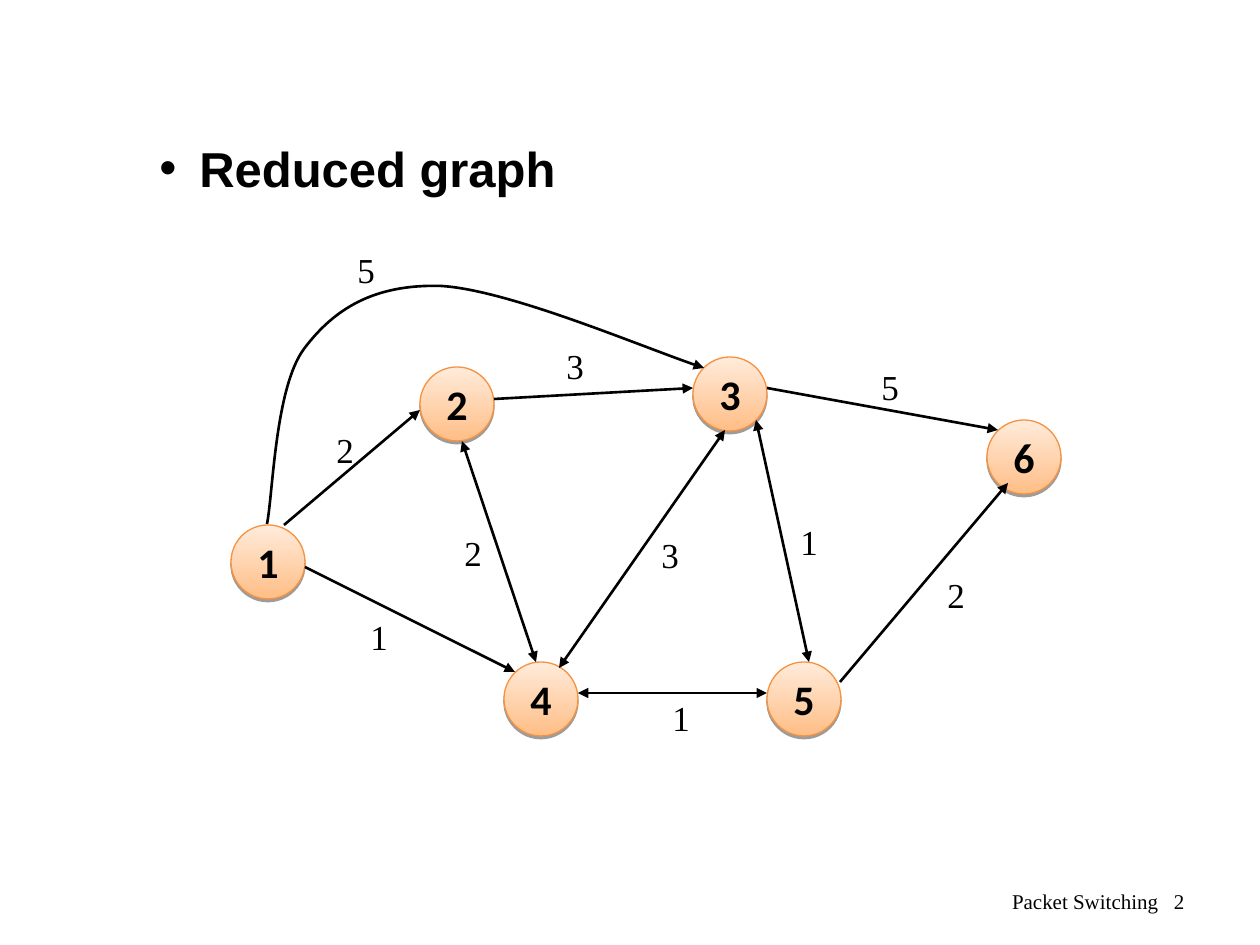
from typing import NamedTuple

from lxml.etree import SubElement
from pptx import Presentation
from pptx.dml.color import RGBColor
from pptx.enum.shapes import MSO_CONNECTOR, MSO_SHAPE
from pptx.enum.text import MSO_ANCHOR, MSO_AUTO_SIZE, PP_ALIGN
from pptx.oxml.ns import qn
from pptx.util import Emu, Pt

EMU_PER_PX = 914400 / 126
BLACK = RGBColor(0x00, 0x00, 0x00)
PEACH = RGBColor(0xFF, 0xBE, 0x86)
CREAM = RGBColor(0xFF, 0xEB, 0xDB)
ORANGE = RGBColor(0xF6, 0x92, 0x40)
SERIF = "Times New Roman"
NODE_SIZE = 74
LABEL_WIDTH, LABEL_HEIGHT = 43, 55


class Node(NamedTuple):
    name: str
    x: int
    y: int


class Edge(NamedTuple):
    x1: int
    y1: int
    x2: int
    y2: int
    two_way: bool = False


class Cost(NamedTuple):
    text: str
    x: int
    y: int


NODES = [
    Node("2", 420, 367),
    Node("3", 693, 357),
    Node("1", 231, 525),
    Node("4", 504, 662),
    Node("6", 987, 420),
    Node("5", 767, 662),
]
EDGES = [
    Edge(284, 525, 420, 410),
    Edge(494, 399, 693, 388),
    Edge(767, 388, 998, 430),
    Edge(578, 693, 767, 693, True),
    Edge(305, 567, 515, 672),
    Edge(840, 682, 1008, 483),
    Edge(536, 662, 462, 441, True),
    Edge(725, 430, 559, 668, True),
    Edge(756, 420, 809, 662, True),
]
COSTS = [
    Cost("5", 345, 242),
    Cost("2", 324, 422),
    Cost("3", 554, 338),
    Cost("5", 869, 359),
    Cost("2", 452, 525),
    Cost("3", 649, 527),
    Cost("1", 788, 514),
    Cost("2", 935, 567),
    Cost("1", 660, 690),
    Cost("1", 358, 609),
]
CURVE = [
    (267, 524),
    (273, 495), (275, 388), (304, 349),
    (334, 309), (374, 284), (441, 286),
    (508, 290), (649, 350), (704, 368),
]


def px(n: int) -> Emu:
    return Emu(round(n * EMU_PER_PX))


def write(sp, text: str, size: int, font: str, bold: bool = False):
    tf = sp.text_frame
    tf.text = text
    p = tf.paragraphs[0]
    f = p.runs[0].font
    f.size, f.name, f.bold = Pt(size), font, bold
    f.color.rgb = BLACK
    return p


def add_text(s, x: int, y: int, w: int, h: int, text: str, size: int,
             font: str, bold: bool = False, wrap: bool = True):
    sp = s.shapes.add_textbox(px(x), px(y), px(w), px(h))
    sp.text_frame.word_wrap = wrap
    return sp, write(sp, text, size, font, bold)


def add_node(s, node: Node) -> None:
    sp = s.shapes.add_shape(MSO_SHAPE.OVAL, px(node.x), px(node.y),
                            px(NODE_SIZE), px(NODE_SIZE))
    sp.fill.gradient()
    sp.fill.gradient_angle = 90
    for stop, color, position in zip(sp.fill.gradient_stops, (PEACH, CREAM), (0, 1)):
        stop.color.rgb = color
        stop.position = position
    sp.line.color.rgb = ORANGE
    sp.line.width = Pt(0.75)
    sp.shadow.inherit = False
    effects = sp._element.spPr.find(qn("a:effectLst"))
    shadow = SubElement(effects, qn("a:outerShdw"), blurRad="0", dist=str(Pt(1.6)),
                        dir="5400000", rotWithShape="0")
    color = SubElement(shadow, qn("a:srgbClr"), val=str(BLACK))
    SubElement(color, qn("a:alpha"), val="38000")
    p = write(sp, node.name, 24, "Calibri", True)
    p.alignment = PP_ALIGN.CENTER
    sp.text_frame.word_wrap = False
    sp.text_frame.vertical_anchor = MSO_ANCHOR.MIDDLE


def style_arrow(sp, two_way: bool = False) -> None:
    sp.line.color.rgb = BLACK
    sp.line.width = Pt(1.5)
    ln = sp.line._get_or_add_ln()
    if two_way:
        SubElement(ln, qn("a:headEnd"), type="triangle")
    SubElement(ln, qn("a:tailEnd"), type="triangle")


def add_edge(s, edge: Edge) -> None:
    sp = s.shapes.add_connector(MSO_CONNECTOR.STRAIGHT, px(edge.x1), px(edge.y1),
                                px(edge.x2), px(edge.y2))
    style_arrow(sp, edge.two_way)
    SubElement(sp._element.spPr, qn("a:effectLst"))


def add_curve(s, points: list[tuple[int, int]]) -> None:
    builder = s.shapes.build_freeform(*points[0], scale=EMU_PER_PX)
    builder.add_line_segments(points[1:], close=False)
    sp = builder.convert_to_shape()
    segments = sp._element.xpath(".//a:lnTo")
    outline = segments[0].getparent()
    for i in range(0, len(segments), 3):
        bezier = SubElement(outline, qn("a:cubicBezTo"))
        for segment in segments[i:i + 3]:
            bezier.append(segment[0])
            outline.remove(segment)
    sp.fill.background()
    sp.shadow.inherit = False
    style_arrow(sp)


def add_cost(s, cost: Cost) -> None:
    sp, _ = add_text(s, cost.x, cost.y, LABEL_WIDTH, LABEL_HEIGHT,
                     cost.text, 20, SERIF, wrap=False)
    sp.text_frame.auto_size = MSO_AUTO_SIZE.SHAPE_TO_FIT_TEXT


def add_heading(s) -> None:
    _, p = add_text(s, 147, 126, 462, 78, "Reduced graph", 28, "Arial", True)
    p.line_spacing = 1.1
    p.space_before = Pt(7)
    pPr = p._p.get_or_add_pPr()
    pPr.set("marL", str(px(40)))
    pPr.set("indent", str(px(-40)))
    color = SubElement(pPr, qn("a:buClr"))
    SubElement(color, qn("a:srgbClr"), val=str(BLACK))
    SubElement(pPr, qn("a:buFont"), typeface="Arial")
    SubElement(pPr, qn("a:buChar"), char="•")


def add_footer(s) -> None:
    sp, p = add_text(s, 903, 876, 294, 50, "Packet Switching   2", 12, SERIF)
    p.alignment = PP_ALIGN.RIGHT
    sp.text_frame.vertical_anchor = MSO_ANCHOR.MIDDLE


def main() -> None:
    prs = Presentation()
    prs.slide_width, prs.slide_height = px(1260), px(945)
    s = prs.slides.add_slide(prs.slide_layouts[6])
    add_footer(s)
    for node in NODES:
        add_node(s, node)
    for edge in EDGES:
        add_edge(s, edge)
    add_curve(s, CURVE)
    for cost in COSTS:
        add_cost(s, cost)
    add_heading(s)
    prs.save("out.pptx")


if __name__ == "__main__":
    main()
